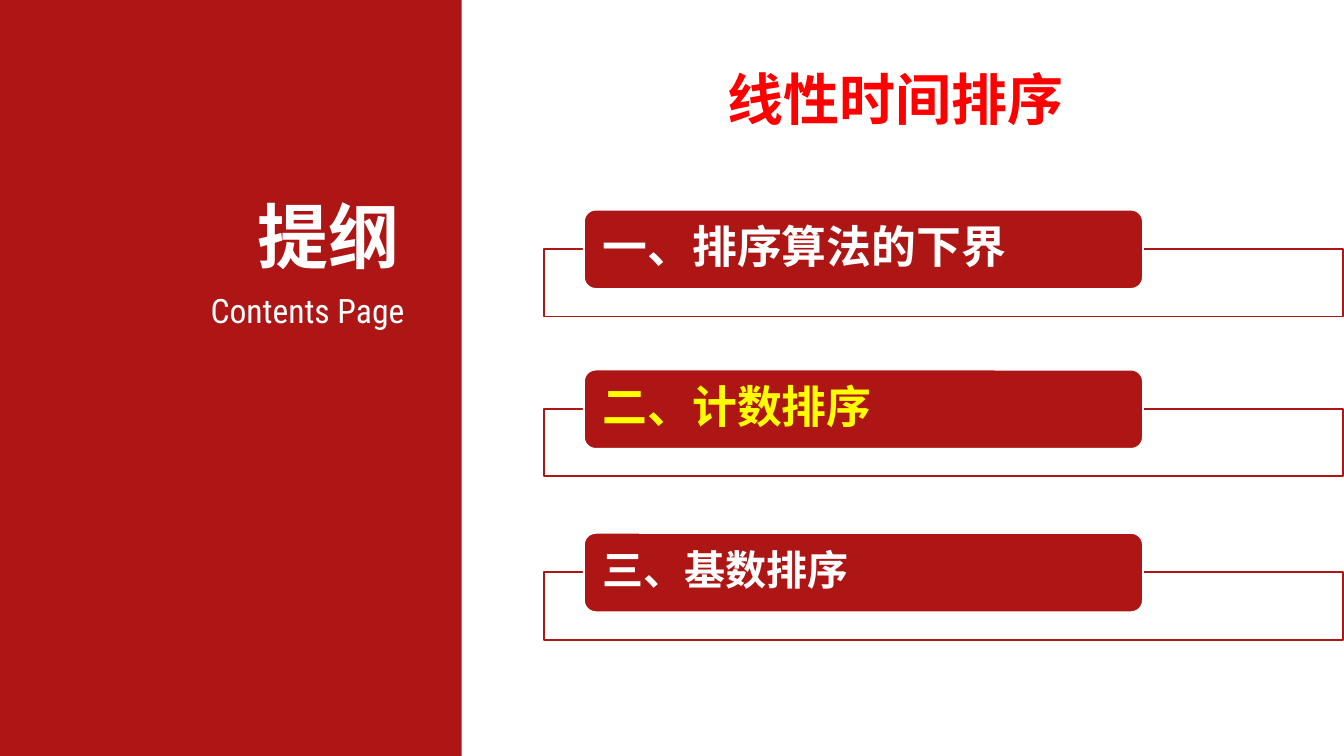
"""Build the outline slide for linear-time sorting."""
from lxml import etree
from pptx import Presentation
from pptx import util as u
from pptx.dml.color import RGBColor
from pptx.enum import shapes, text
from pptx.oxml.ns import qn

PX = 4572
RED, WHITE, YELLOW = "AE1616", "FFFFFF", "FFFF00"


def paint(color_format, color):
    """Apply a hex colour to a fill or a font colour."""
    if hasattr(color_format, "solid"):
        color_format.solid()
        color_format = color_format.fore_color
    color_format.rgb = RGBColor.from_string(color)


def write(shape, words, size, font, color, align, margins, anchor, spacing=None, bold=True):
    """Fill a shape with one formatted line of text."""
    frame = shape.text_frame
    frame.text = words
    frame.word_wrap = True
    frame.vertical_anchor = anchor
    frame.margin_left = frame.margin_right = margins[0] * PX
    frame.margin_top = frame.margin_bottom = margins[1] * PX
    paragraph = frame.paragraphs[0]
    paragraph.alignment = align
    paragraph.line_spacing = spacing
    run = paragraph.runs[0]
    run.font.size = u.Pt(size)
    run.font.name = font
    run.font.bold = bold
    paint(run.font.color, color)


prs = Presentation()
prs.slide_width, prs.slide_height = 2000 * PX, 1125 * PX
slide = prs.slides.add_slide(prs.slide_layouts[6])
left, center, right = text.PP_ALIGN.LEFT, text.PP_ALIGN.CENTER, text.PP_ALIGN.RIGHT
top, middle = text.MSO_ANCHOR.TOP, text.MSO_ANCHOR.MIDDLE

sidebar = slide.shapes.add_shape(shapes.MSO_SHAPE.RECTANGLE, 0, 0, 687 * PX, 1125 * PX)
sidebar.shadow.inherit = False
paint(sidebar.fill, RED)
sidebar.line.fill.background()

subtitle = slide.shapes.add_textbox(67 * PX, 424 * PX, 550 * PX, 76 * PX)
write(subtitle, "Contents Page", 18, "Roboto Condensed", WHITE, right, (15, 8), top, bold=False)
outline = slide.shapes.add_textbox(220 * PX, 278 * PX, 390 * PX, 144 * PX)
write(outline, "提纲", 38, "Arial", WHITE, right, (15, 8), top)
for label in (subtitle, outline):
    label.text_frame.auto_size = text.MSO_AUTO_SIZE.SHAPE_TO_FIT_TEXT

sections = [
    (312, "一、排序算法的下界", 24, "Karla", WHITE),
    (550, "二、计数排序", 24, "Karla", YELLOW),
    (793, "三、基数排序", 22, "Noto Sans CJK SC", WHITE),
]
for y, words, size, font, color in sections:
    frame_box = slide.shapes.add_shape(
        shapes.MSO_SHAPE.RECTANGLE, 810 * PX, (y + 58) * PX, 1189 * PX, 101 * PX)
    banner = slide.shapes.add_shape(
        shapes.MSO_SHAPE.ROUNDED_RECTANGLE, 869 * PX, y * PX, 832 * PX, 118 * PX)
    banner.adjustments[0] = 0.15
    for shape, fill, line in ((frame_box, WHITE, RED), (banner, RED, WHITE)):
        shape.shadow.inherit = False
        paint(shape.fill, fill)
        paint(shape.line.fill, line)
        shape.line.width = u.Pt(1)
    frame_fill = frame_box.element.spPr.find(qn("a:solidFill"))[0]
    etree.SubElement(frame_fill, qn("a:alpha"), val="90000")
    write(banner, words, size, font, color, left, (23, 4), middle, 0.9)

title = slide.shapes.add_textbox(688 * PX, 0, 1290 * PX, 242 * PX)
write(title, "线性时间排序", 30, "Arial", "FF0000", center, (20, 10), middle, 1.5)

prs.save("out.pptx")
